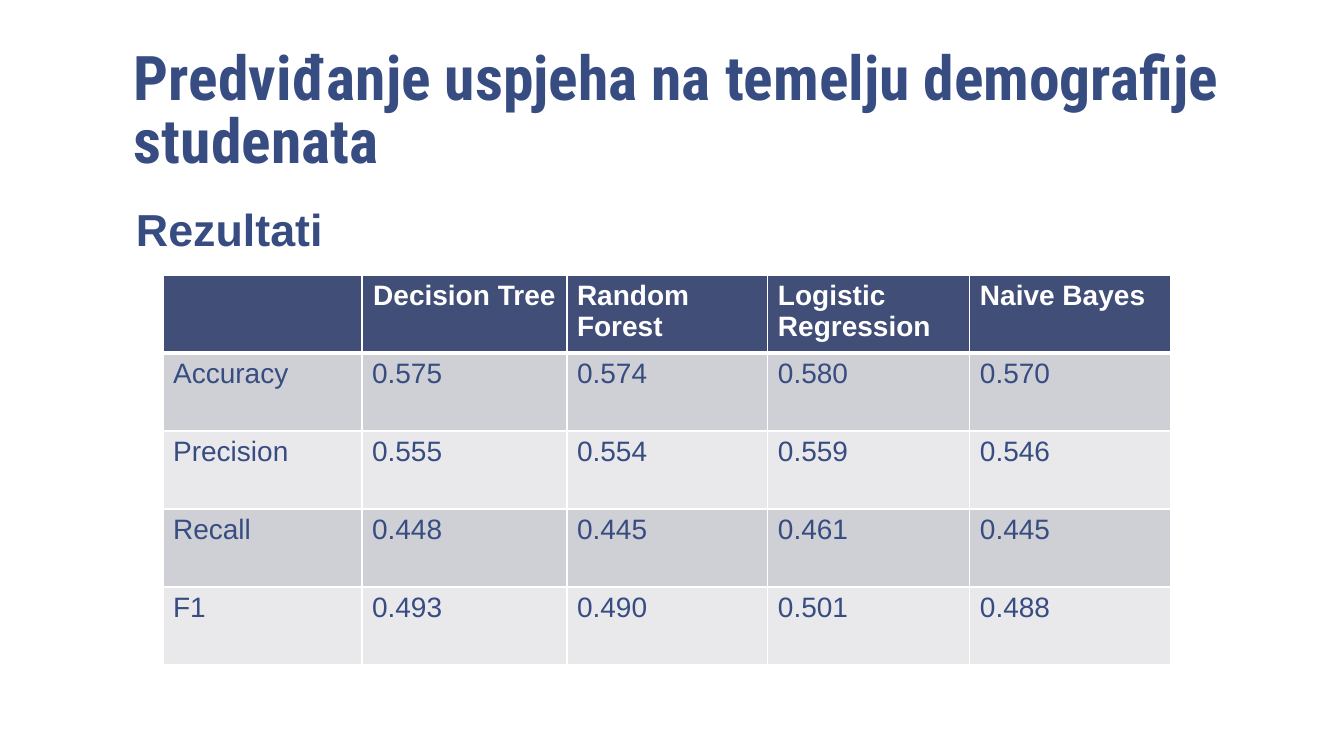
from dataclasses import dataclass

from lxml.etree import SubElement
from pptx import Presentation
from pptx.dml.color import RGBColor
from pptx.enum.text import MSO_ANCHOR, PP_ALIGN
from pptx.oxml.ns import qn
from pptx.util import Emu, Pt


@dataclass(frozen=True)
class Theme:
    ink: str = "374C81"
    white: str = "FFFFFF"
    header: str = "414E77"
    bands: tuple = ("CFD0D6", "E9E9EC")
    title_font: str = "Roboto Condensed"
    body_font: str = "Arial"
    title_size: int = 44
    heading_size: int = 32
    table_size: int = 20


theme = Theme()
PX = 914400 / 100.8


def px(length):
    return Emu(round(length * PX))


def write(frame, text, size, color=theme.ink, font=theme.body_font,
          bold=False, align=PP_ALIGN.LEFT, spacing=None):
    para = frame.paragraphs[0]
    para.alignment = align
    para.line_spacing = spacing
    para.font.size = Pt(size)
    if text:
        span = para.add_run()
        span.text = text
        span.font.name = font
        span.font.size = Pt(size)
        span.font.bold = bold
        span.font.color.rgb = RGBColor.from_string(color)


deck = Presentation()
deck.slide_width, deck.slide_height = px(1344), px(756)
page = deck.slides.add_slide(deck.slide_layouts[6])
page.background.fill.solid()
page.background.fill.fore_color.rgb = RGBColor.from_string(theme.white)

# Title and section heading
headings = [
    ("Predviđanje uspjeha na temelju demografije studenata",
     (121, 29, 1120, 154), MSO_ANCHOR.BOTTOM,
     dict(size=theme.title_size, font=theme.title_font, spacing=0.85)),
    ("Rezultati", (123, 199, 1120, 64), MSO_ANCHOR.TOP,
     dict(size=theme.heading_size, spacing=0.95)),
]
for text, place, anchor, style in headings:
    box = page.shapes.add_textbox(*map(px, place))
    frame = box.text_frame
    frame.word_wrap = True
    frame.vertical_anchor = anchor
    frame.margin_left = frame.margin_right = px(13)
    frame.margin_top = frame.margin_bottom = px(7)
    write(frame, text, bold=True, **style)

# Results table
results = [
    ("", "Decision Tree", "Random Forest", "Logistic Regression", "Naive Bayes"),
    ("Accuracy", "0.575", "0.574", "0.580", "0.570"),
    ("Precision", "0.555", "0.554", "0.559", "0.546"),
    ("Recall", "0.448", "0.445", "0.461", "0.445"),
    ("F1", "0.493", "0.490", "0.501", "0.488"),
]
column_widths = (199, 205, 201, 202, 201)
row_height = 78
table = page.shapes.add_table(
    len(results), len(column_widths), px(163), px(275),
    px(sum(column_widths)), px(row_height * len(results))).table
for column, width in zip(table.columns, column_widths):
    column.width = px(width)

for row_index, values in enumerate(results):
    table.rows[row_index].height = px(row_height)
    is_header = row_index == 0
    fill = theme.header if is_header else theme.bands[(row_index - 1) % 2]
    border_points = {"lnL": 1, "lnR": 1,
                     "lnT": 3 if row_index == 1 else 1,
                     "lnB": 3 if is_header else 1}
    for column_index, value in enumerate(values):
        cell = table.cell(row_index, column_index)
        centred = is_header and column_index == 1
        write(cell.text_frame, value, theme.table_size,
              color=theme.white if is_header else theme.ink, bold=is_header,
              align=PP_ALIGN.CENTER if centred else PP_ALIGN.LEFT)

        # White cell borders, heavier below the header
        properties = cell._tc.get_or_add_tcPr()
        for side, points in border_points.items():
            line = SubElement(properties, qn(f"a:{side}"), w=str(Pt(points)))
            paint = SubElement(line, qn("a:solidFill"))
            SubElement(paint, qn("a:srgbClr"), val=theme.white)
        cell.fill.solid()
        cell.fill.fore_color.rgb = RGBColor.from_string(fill)

deck.save("out.pptx")
